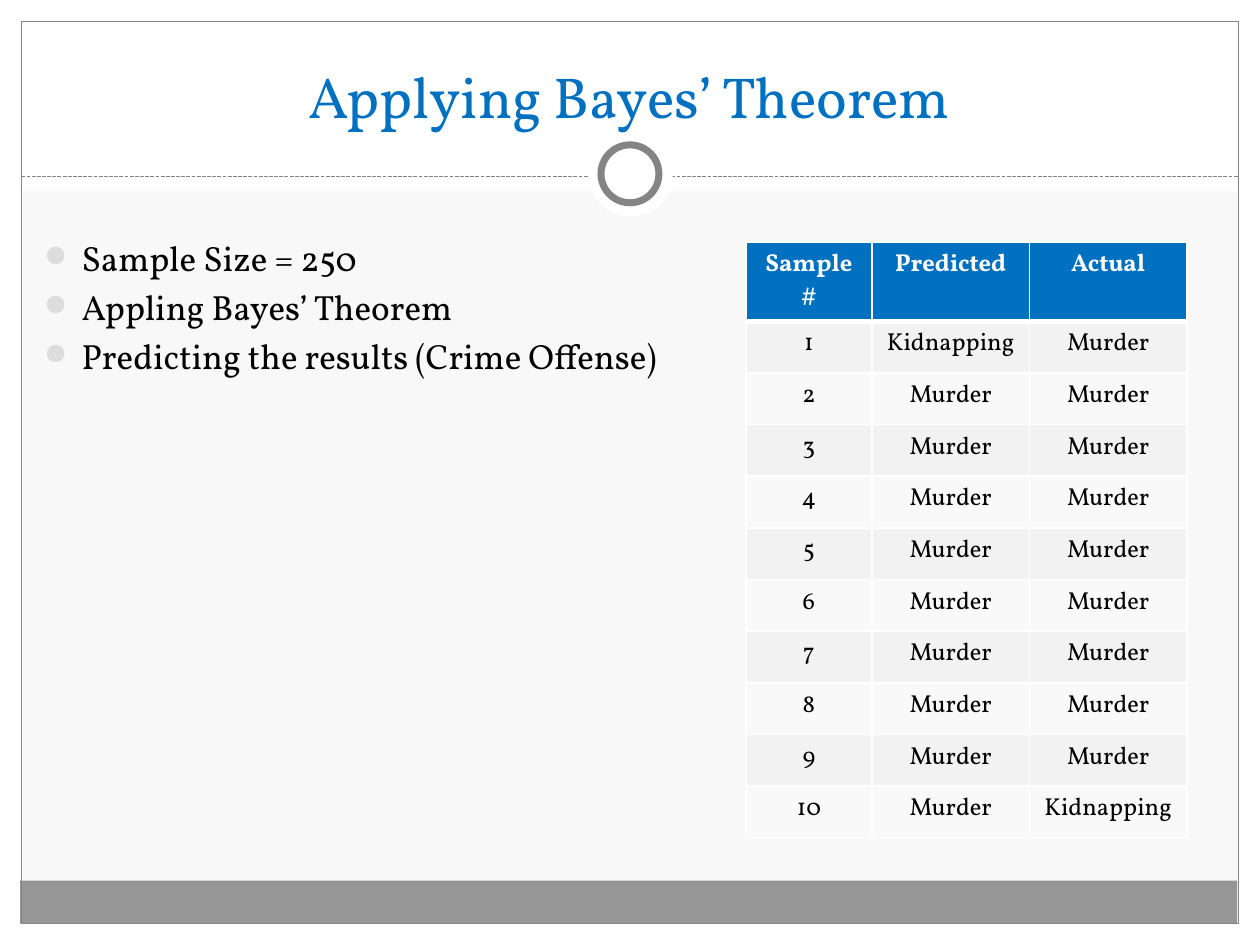
import pptx
import pptx.dml.color
import pptx.enum.dml
import pptx.enum.shapes
import pptx.enum.text
import pptx.oxml
import pptx.oxml.ns
import pptx.util
from pptx.util import Inches

RGBColor = pptx.dml.color.RGBColor
SHAPE = pptx.enum.shapes.MSO_SHAPE
ALIGN = pptx.enum.text.PP_ALIGN
ANCHOR = pptx.enum.text.MSO_ANCHOR

WHITE = RGBColor(0xFF, 0xFF, 0xFF)
BLACK = RGBColor(0x00, 0x00, 0x00)
BLUE = RGBColor(0x00, 0x70, 0xC0)
PAPER = RGBColor(0xF8, 0xF8, 0xF8)
FOOTER_GRAY = RGBColor(0x96, 0x96, 0x96)
LINE_GRAY = RGBColor(0x84, 0x84, 0x84)
BULLET_GRAY = RGBColor(0xDD, 0xDD, 0xDD)
ODD_ROW = RGBColor(0xF2, 0xF2, 0xF2)
EVEN_ROW = RGBColor(0xF9, 0xF9, 0xF9)
FONT = "Vollkorn"
NAMESPACE = pptx.oxml.ns.nsdecls("a")


def write_text(frame, text, size, color, bold=False, align=ALIGN.LEFT, bullet=None, space_before=0):
    """Write one paragraph per line of text; bullet is the bullet's colour."""
    frame.word_wrap = True
    for index, line in enumerate(text.split("\n")):
        para = frame.add_paragraph() if index else frame.paragraphs[0]
        para.text = line
        para.alignment = align
        if index:
            para.space_before = pptx.util.Pt(space_before)
        if bullet is not None:
            properties = para._p.get_or_add_pPr()
            properties.set("marL", str(Inches(0.3)))
            properties.set("indent", str(-Inches(0.3)))
            for tag in (
                f'<a:buClr {NAMESPACE}><a:srgbClr val="{bullet}"/></a:buClr>',
                f'<a:buSzPct {NAMESPACE} val="85000"/>',
                f'<a:buChar {NAMESPACE} char="●"/>',
            ):
                properties.append(pptx.oxml.parse_xml(tag))
        for span in para.runs:
            span.font.name = FONT
            span.font.size = pptx.util.Pt(size)
            span.font.bold = bold
            span.font.color.rgb = color


def add_panel(kind, left, top, width, height, fill=None, line_width=None):
    panel = slide.shapes.add_shape(kind, Inches(left), Inches(top), Inches(width), Inches(height))
    panel.shadow.inherit = False
    if fill is None:
        panel.fill.background()
    else:
        panel.fill.solid()
        panel.fill.fore_color.rgb = fill
    if line_width is None:
        panel.line.fill.background()
    else:
        panel.line.color.rgb = LINE_GRAY
        panel.line.width = pptx.util.Pt(line_width)


deck = pptx.Presentation()
deck.slide_width = Inches(10)
deck.slide_height = Inches(7.5)
slide = deck.slides.add_slide(deck.slide_layouts[6])
slide.background.fill.solid()
slide.background.fill.fore_color.rgb = PAPER

# White margins, footer band and frame
for margin in ((0, 7.33, 10, 0.17), (0, 0, 10, 1.52), (0, 0, 0.17, 7.5), (9.83, 0, 0.17, 7.5)):
    add_panel(SHAPE.RECTANGLE, *margin, fill=WHITE)
add_panel(SHAPE.RECTANGLE, 0.16, 6.99, 9.66, 0.34, fill=FOOTER_GRAY)
add_panel(SHAPE.RECTANGLE, 0.17, 0.17, 9.66, 7.16, line_width=0.75)

# Dashed divider with a ring
divider = slide.shapes.add_connector(
    pptx.enum.shapes.MSO_CONNECTOR.STRAIGHT, Inches(0.17), Inches(1.4), Inches(9.83), Inches(1.4))
divider.line.color.rgb = LINE_GRAY
divider.line.width = pptx.util.Pt(0.75)
divider.line.dash_style = pptx.enum.dml.MSO_LINE.SQUARE_DOT
divider._element.spPr.append(pptx.oxml.parse_xml(f"<a:effectLst {NAMESPACE}/>"))
add_panel(SHAPE.OVAL, 4.67, 1.05, 0.67, 0.67, fill=WHITE)
add_panel(SHAPE.OVAL, 4.77, 1.15, 0.46, 0.46, fill=WHITE, line_width=4)

# Title and bullets
title = slide.shapes.add_textbox(Inches(0.33), Inches(0.25), Inches(9.33), Inches(0.83))
title.text_frame.vertical_anchor = ANCHOR.BOTTOM
write_text(title.text_frame, "Applying Bayes’ Theorem", size=33, color=BLUE, align=ALIGN.CENTER)

body = slide.shapes.add_textbox(Inches(0.25), Inches(1.83), Inches(9.5), Inches(5.08))
write_text(
    body.text_frame,
    "Sample Size = 250\nAppling Bayes’ Theorem\nPredicting the results (Crime Offense)",
    size=20, color=BLACK, bullet=BULLET_GRAY, space_before=4)

# Results table
results = [("Sample\v#", "Predicted", "Actual"), ("1", "Kidnapping", "Murder")]
results += [(str(number), "Murder", "Murder") for number in range(2, 10)]
results.append(("10", "Murder", "Kidnapping"))

table = slide.shapes.add_table(
    len(results), 3, Inches(5.92), Inches(1.92), Inches(3.5), Inches(4.46)).table
for column, width in zip(table.columns, (1, 1.25, 1.25)):
    column.width = Inches(width)
for row_index, values in enumerate(results):
    header = row_index == 0
    table.rows[row_index].height = Inches(0.63 if header else 0.41)
    row_fill = BLUE if header else ODD_ROW if row_index % 2 else EVEN_ROW
    for column_index, value in enumerate(values):
        cell = table.cell(row_index, column_index)
        write_text(cell.text_frame, value, size=14, color=WHITE if header else BLACK,
                   bold=header, align=ALIGN.CENTER)
        border_widths = {"L": 1, "R": 1, "T": 3 if row_index == 1 else 1, "B": 3 if header else 1}
        for side, width in border_widths.items():
            cell._tc.get_or_add_tcPr().append(pptx.oxml.parse_xml(
                f'<a:ln{side} {NAMESPACE} w="{pptx.util.Pt(width)}"><a:solidFill>'
                f'<a:srgbClr val="{WHITE}"/></a:solidFill></a:ln{side}>'))
        cell.fill.solid()
        cell.fill.fore_color.rgb = row_fill

deck.save("out.pptx")
